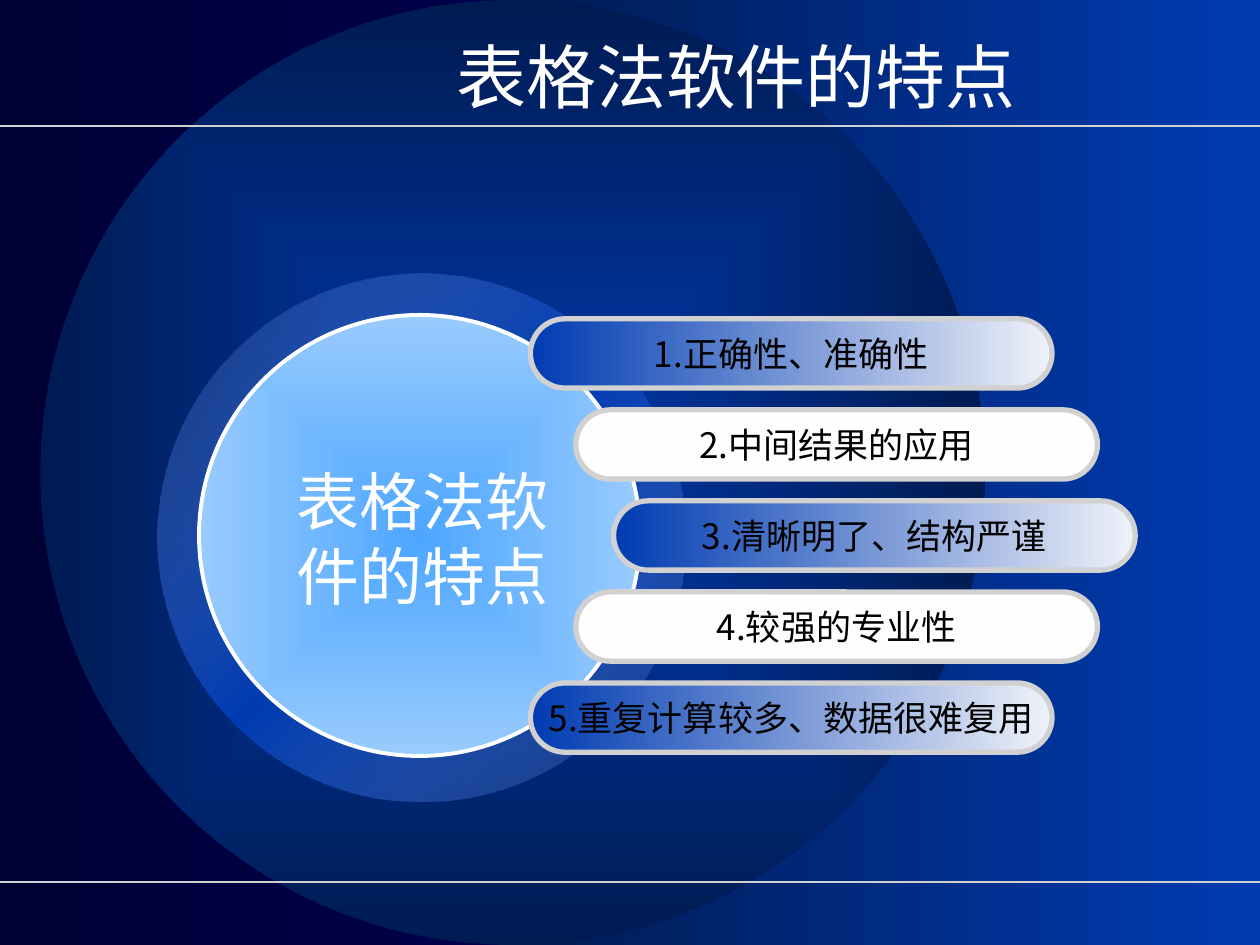
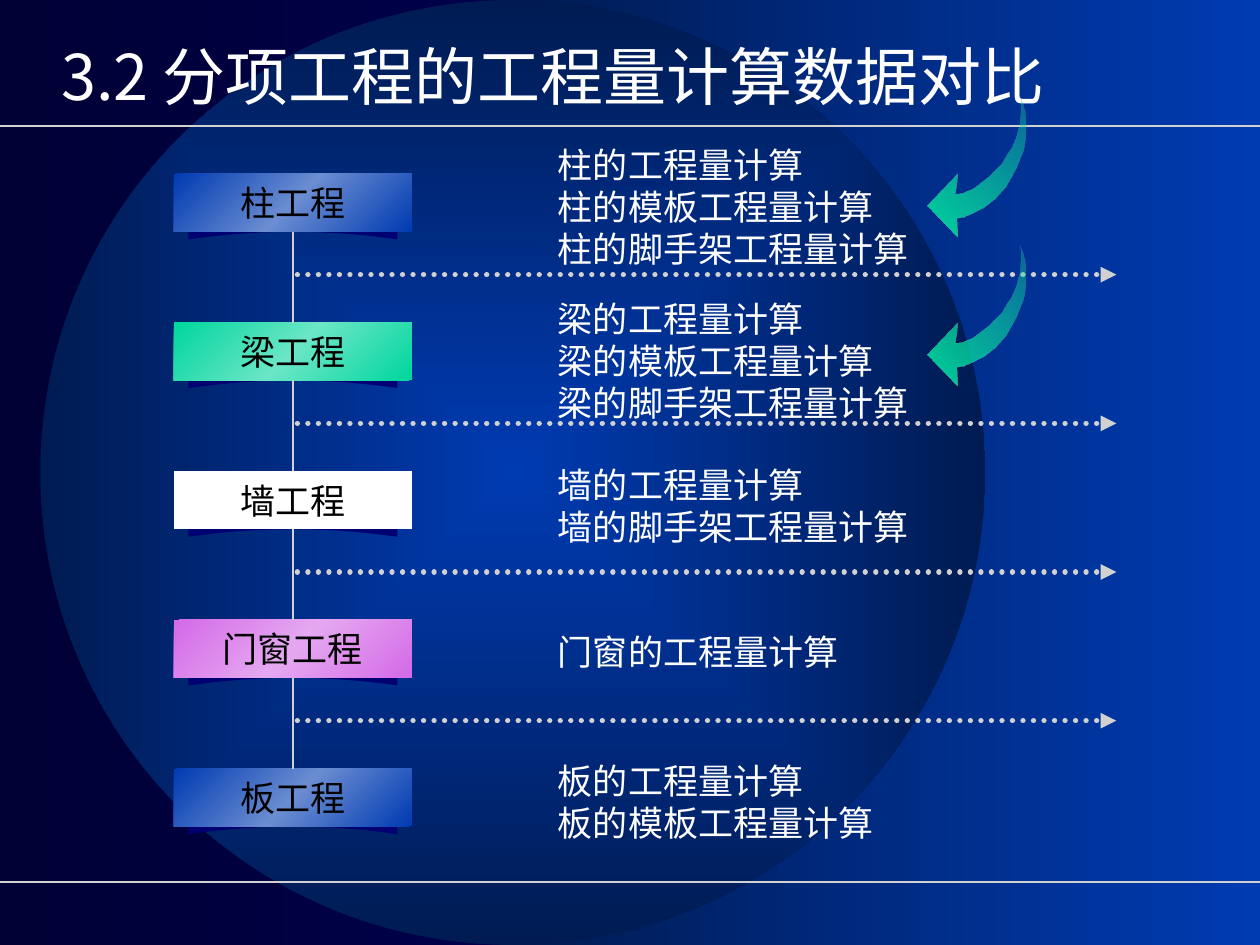
"""Builds two slides on table-based quantity calculation software."""
from pptx import Presentation
from pptx.dml.color import RGBColor
from pptx.enum.shapes import MSO_CONNECTOR, MSO_SHAPE
from pptx.enum.text import MSO_ANCHOR, PP_ALIGN
from pptx.oxml import parse_xml
from pptx.oxml.ns import nsdecls, qn
from pptx.util import Inches, Pt

RECTANGLE = MSO_SHAPE.RECTANGLE
PILL = MSO_SHAPE.ROUNDED_RECTANGLE
ELLIPSE = MSO_SHAPE.OVAL
DONUT = MSO_SHAPE.DONUT
STRAIGHT = MSO_CONNECTOR.STRAIGHT
MIDDLE = MSO_ANCHOR.MIDDLE
LEFT, CENTER, RIGHT = PP_ALIGN.LEFT, PP_ALIGN.CENTER, PP_ALIGN.RIGHT

WHITE = RGBColor(0xFF, 0xFF, 0xFF)
OFF_WHITE = RGBColor(0xFE, 0xFE, 0xFE)
BLACK = RGBColor(0, 0, 0)
SILVER = RGBColor(0xD1, 0xD1, 0xD1)
NAVY = RGBColor(0, 0, 0x72)
MIDNIGHT = RGBColor(0, 0, 0x34)
BLUE = RGBColor(0, 0x3B, 0xB2)
DARK_BLUE = RGBColor(0, 0x1B, 0x52)
SOFT_BLUE = RGBColor(0x6B, 0x8D, 0xD1)
HALO_BLUE = RGBColor(0x63, 0x87, 0xCF)
SKY = RGBColor(0x4D, 0xA6, 0xFF)
PALE_SKY = RGBColor(0x99, 0xCB, 0xFE)
MIST = RGBColor(0xEF, 0xF2, 0xF9)
GREEN = RGBColor(0, 0xD6, 0x9E)
SOFT_GREEN = RGBColor(0x6B, 0xE6, 0xC6)
ARROW_GREEN = RGBColor(0x16, 0xD8, 0xA6)
PINK = RGBColor(0xD4, 0x6A, 0xE8)
SOFT_PINK = RGBColor(0xE5, 0xA8, 0xF0)

CJK_FONT = "Noto Sans CJK SC"
LINE_RATIO = 1.2

PILL_TOP, PILL_PITCH, PILL_WIDTH, PILL_HEIGHT = 2.53, 0.7225, 4.14, 0.55
FEATURES = [
    ("1.正确性、准确性", 4.21),
    ("2.中间结果的应用", 4.57),
    ("3.清晰明了、结构严谨", 4.87),
    ("4.较强的专业性", 4.57),
    ("5.重复计算较多、数据很难复用", 4.21),
]

BOX_LEFT, BOX_TOP, BOX_WIDTH, BOX_HEIGHT = 1.38, 1.38, 1.89, 0.46
ROW_PITCH = 1.18
WORKS = [
    ("柱工程", BLUE, SOFT_BLUE, 1.62,
     ["柱的工程量计算", "柱的模板工程量计算", "柱的脚手架工程量计算"]),
    ("梁工程", GREEN, SOFT_GREEN, 2.84,
     ["梁的工程量计算", "梁的模板工程量计算", "梁的脚手架工程量计算"]),
    ("墙工程", WHITE, OFF_WHITE, 3.99, ["墙的工程量计算", "墙的脚手架工程量计算"]),
    ("门窗工程", PINK, SOFT_PINK, 5.15, ["门窗的工程量计算"]),
    ("板工程", BLUE, SOFT_BLUE, 6.34, ["板的工程量计算", "板的模板工程量计算"]),
]

SWOOSH = [
    (8.09, 0.77), (8.1, 0.81), (8.1, 0.89), (8.09, 0.99), (8.06, 1.1),
    (8.03, 1.17), (7.99, 1.23), (7.95, 1.3), (7.9, 1.35), (7.85, 1.4),
    (7.8, 1.44), (7.72, 1.5), (7.64, 1.53), (7.58, 1.54), (7.6, 1.38),
    (7.36, 1.63), (7.6, 1.88), (7.59, 1.73), (7.65, 1.72), (7.72, 1.69),
    (7.8, 1.65), (7.89, 1.58), (7.98, 1.48), (8.06, 1.34), (8.12, 1.19),
    (8.14, 1.06), (8.14, 1), (8.13, 0.89), (8.11, 0.82),
]


def paint_gradient(fill, owner, stops, angle=None):
    """Fill with (position, colour, opacity) stops, from the centre if no angle is given."""
    fill.gradient()
    plain = owner.find(".//" + qn("a:gradFill"))
    marks = "".join(
        f'<a:gs pos="{position * 1000}"><a:srgbClr val="{colour}">'
        f'<a:alpha val="{opacity * 1000}"/></a:srgbClr></a:gs>'
        for position, colour, opacity in stops)
    if angle is None:
        course = ('<a:path path="rect"><a:fillToRect l="50000" t="50000" '
                  'r="50000" b="50000"/></a:path>')
    else:
        course = f'<a:lin ang="{angle * 60000}" scaled="0"/>'
    plain.getparent().replace(plain, parse_xml(
        f'<a:gradFill {nsdecls("a")} rotWithShape="1"><a:gsLst>{marks}</a:gsLst>'
        f'{course}</a:gradFill>'))


def blend(*colours):
    """Spread opaque colours evenly over a gradient."""
    return [(100 * i // (len(colours) - 1), colour, 100) for i, colour in enumerate(colours)]


def add_figure(slide, kind, left, top, width, height, stops, angle=None, outline=0,
               outline_colour=SILVER):
    """Add a preset shape with a gradient and an optional outline."""
    figure = slide.shapes.add_shape(
        kind, Inches(left), Inches(top), Inches(width), Inches(height))
    figure.shadow.inherit = False
    paint_gradient(figure.fill, figure._element.spPr, stops, angle)
    if outline:
        figure.line.color.rgb = outline_colour
        figure.line.width = Pt(outline)
    else:
        figure.line.fill.background()
    return figure


def add_outline(slide, points):
    """Add a closed polygon without a border."""
    corners = [(Inches(x), Inches(y)) for x, y in points]
    builder = slide.shapes.build_freeform(*corners[0])
    builder.add_line_segments(corners[1:], close=True)
    polygon = builder.convert_to_shape()
    polygon.shadow.inherit = False
    polygon.line.fill.background()
    return polygon


def add_rule(slide, x1, y1, x2, y2, weight):
    """Add a straight silver line."""
    rule = slide.shapes.add_connector(STRAIGHT, Inches(x1), Inches(y1), Inches(x2), Inches(y2))
    rule.line.color.rgb = SILVER
    rule.line.width = Pt(weight)
    rule._element.spPr.append(parse_xml(f'<a:effectLst {nsdecls("a")}/>'))
    return rule


def write(holder, lines, size, font, colour, align, wrap=False):
    """Write one paragraph per line, centred vertically."""
    frame = holder.text_frame
    frame.text = "\n".join(lines)
    frame.word_wrap = wrap
    frame.vertical_anchor = MIDDLE
    for paragraph in frame.paragraphs:
        paragraph.alignment = align
        if len(lines) > 1:
            paragraph.line_spacing = Pt(size * LINE_RATIO)
        for run in paragraph.runs:
            run.font.size = Pt(size)
            run.font.name = font
            run.font.color.rgb = colour
            run.font._element.find(qn("a:latin")).addnext(
                parse_xml(f'<a:ea {nsdecls("a")} typeface="{CJK_FONT}"/>'))


def add_words(slide, left, top, width, height, lines, size, font, align, wrap=False):
    """Add a white text box."""
    words = slide.shapes.add_textbox(Inches(left), Inches(top), Inches(width), Inches(height))
    write(words, lines, size, font, WHITE, align, wrap)
    return words


def cast_text_shadow(words):
    """Give every run a hard black shadow."""
    for paragraph in words.text_frame.paragraphs:
        for run in paragraph.runs:
            run.font._element.find(qn("a:solidFill")).addnext(parse_xml(
                f'<a:effectLst {nsdecls("a")}><a:outerShdw dist="35921" dir="2700000">'
                f'<a:srgbClr val="{BLACK}"/></a:outerShdw></a:effectLst>'))


def add_base_slide(deck, title, left, width, size, font):
    """Add a slide with the shared backdrop, rules and title."""
    slide = deck.slides.add_slide(deck.slide_layouts[6])
    paint_gradient(slide.background.fill, slide._element, blend(NAVY, MIDNIGHT), 180)
    add_figure(slide, RECTANGLE, 4.08, 0, 5.92, 7.5, blend(BLUE, DARK_BLUE), 180)
    add_figure(slide, ELLIPSE, 0.32, 0, 7.5, 7.5, blend(BLUE, DARK_BLUE))
    for y in (1, 7):
        add_rule(slide, 0, y, 10, y, 1)
    add_words(slide, left, 0.14, width, 0.92, [title], size, font, RIGHT, True)
    return slide


def add_feature(slide, row, label, left):
    """Add one pill of the feature list."""
    stops = blend(OFF_WHITE, WHITE) if row % 2 else blend(MIST, BLUE)
    pill = add_figure(slide, PILL, left, PILL_TOP + row * PILL_PITCH,
                      PILL_WIDTH, PILL_HEIGHT, stops, 180, 3)
    pill.adjustments[0] = 0.5
    write(pill, [label], 20, CJK_FONT, BLACK, CENTER)


def add_curled_shadow(slide, top):
    """Add the navy shadow with an arched lower edge under a work box."""
    middle, half, steps = BOX_LEFT + BOX_WIDTH / 2, 0.83, 10
    arch = [(middle - half * t, top + 0.16 + 0.06 * t * t)
            for t in (i / steps for i in range(-steps, steps + 1))]
    roof = [(middle - half, top + 0.06), (middle, top), (middle + half, top + 0.06)]
    shadow = add_outline(slide, arch + roof)
    shadow.fill.solid()
    shadow.fill.fore_color.rgb = NAVY


def add_work_box(slide, top, label, edge, core):
    """Add a work box on its shadow."""
    add_curled_shadow(slide, top + 0.3)
    box = add_figure(slide, RECTANGLE, BOX_LEFT, top, BOX_WIDTH, BOX_HEIGHT,
                     blend(edge, core, edge), 225)
    write(box, [label], 20, "Arial", BLACK, CENTER)
    return box


def add_dotted_arrow(slide, y):
    """Add the dotted arrow that separates two rows."""
    arrow = add_rule(slide, 2.36, y, 8.86, y, 3)
    stroke = arrow.line._get_or_add_ln()
    stroke.set("cap", "rnd")
    for tag in ('prstDash val="sysDot"', "round", 'tailEnd type="triangle"'):
        stroke.append(parse_xml(f'<a:{tag.split()[0]} {nsdecls("a")} {tag.partition(" ")[2]}/>'))


def build_features(deck):
    """Build the slide of software features."""
    slide = add_base_slide(deck, "表格法软件的特点", 0.33, 7.83, 40, "Arial")
    halo = add_figure(slide, DONUT, 1.25, 2.17, 4.19, 4.19,
                      [(0, HALO_BLUE, 12), (50, BLUE, 100), (100, HALO_BLUE, 12)], 225)
    halo.adjustments[0] = 0.089
    add_figure(slide, ELLIPSE, 1.58, 2.5, 3.5, 3.5, blend(SKY, PALE_SKY), None, 2.25, WHITE)
    for row, (label, left) in enumerate(FEATURES):
        add_feature(slide, row, label, left)
    hub = add_words(slide, 2.25, 3.62, 2.2, 1.3, ["表格法软", "件的特点"], 36, "Arial", CENTER)
    cast_text_shadow(hub)


def build_comparison(deck):
    """Build the slide that compares the works row by row."""
    slide = add_base_slide(deck, "3.2 分项工程的工程量计算数据对比", 0, 8.39, 36, CJK_FONT)
    previous = None
    for row, (label, edge, core, centre, tasks) in enumerate(WORKS):
        top = BOX_TOP + row * ROW_PITCH
        box = add_work_box(slide, top, label, edge, core)
        if previous:
            link = add_rule(slide, 0, 0, 1, 1, 0.75)
            link.begin_connect(previous, 2)
            link.end_connect(box, 0)
            add_dotted_arrow(slide, top - 0.38)
        height = len(tasks) / 3 + 0.1
        add_words(slide, 4.33, centre - height / 2 + 0.02, 2.98, height, tasks, 20,
                  "DejaVu Sans", LEFT)
        previous = box
    for row in range(2):
        swoosh = add_outline(slide, [(x, y + row * ROW_PITCH) for x, y in SWOOSH])
        paint_gradient(swoosh.fill, swoosh._element.spPr,
                       [(0, GREEN, 100), (100, ARROW_GREEN, 32)], 315)


def main():
    """Build and save the deck."""
    deck = Presentation()
    deck.slide_width, deck.slide_height = Inches(10), Inches(7.5)
    build_features(deck)
    build_comparison(deck)
    deck.save("out.pptx")


if __name__ == "__main__":
    main()
